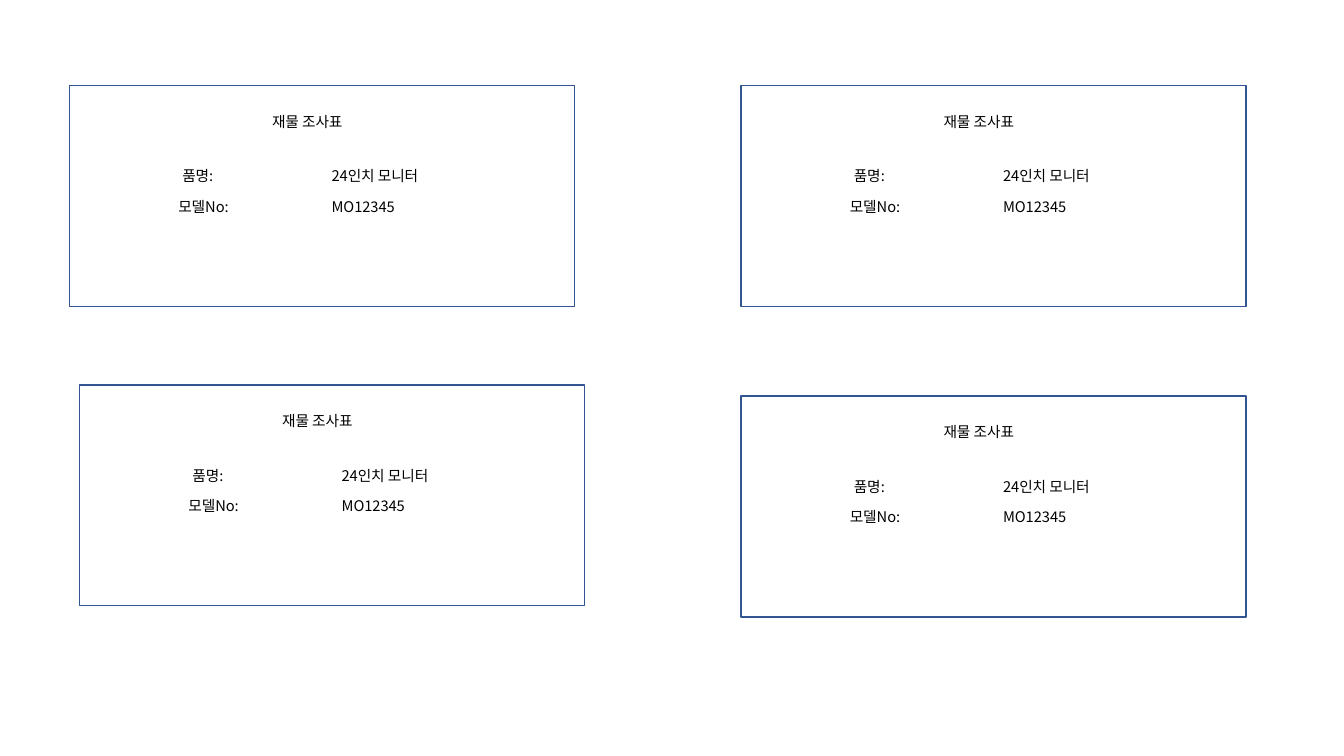
from pptx import Presentation
from pptx.dml.color import RGBColor
from pptx.enum.shapes import MSO_SHAPE as SHAPE
from pptx.enum.text import MSO_AUTO_SIZE as AUTO_SIZE
from pptx.oxml.ns import qn
from pptx.util import Inches, Pt
from lxml import etree

FONT = "Noto Sans CJK KR"
CARD_W, CARD_H = 5.01, 2.19
FIELD_W, FIELD_H = 0.89, 0.28
# left, top, title width, product name width
CARDS = [
    (0.69, 0.85, 1.13, 1.4),
    (7.35, 0.85, 1.19, 1.21),
    (0.79, 3.82, 1.17, 1.16),
    (7.35, 3.93, 1.28, 1.21),
]


def rgb(value):
    return RGBColor.from_string(value)


def add_text(slide, text, left, top, width, size=10.5, color="000000", font=FONT):
    box = slide.shapes.add_textbox(
        Inches(left), Inches(top), Inches(width), Inches(FIELD_H))
    tf = box.text_frame
    tf.word_wrap = True
    tf.auto_size = AUTO_SIZE.SHAPE_TO_FIT_TEXT
    r = tf.paragraphs[0].add_run()
    r.text = text
    r.font.size = Pt(size)
    r.font.name = font
    r.font.color.rgb = rgb(color)
    # Hangul takes its font from the East Asian slot
    etree.SubElement(r.font._element, qn("a:ea")).set("typeface", font)


def add_frame(slide, left, top, line="325491"):
    sp = slide.shapes.add_shape(
        SHAPE.RECTANGLE, Inches(left), Inches(top), Inches(CARD_W), Inches(CARD_H))
    sp.shadow.inherit = False
    sp.fill.background()
    sp.line.color.rgb = rgb(line)
    sp.line.width = Pt(1)


def add_card(slide, left, top, title_w, name_w):
    add_frame(slide, left, top)
    fields = [
        ("재물 조사표", 1.91, 0.22, title_w),
        ("품명:", 1.02, 0.76, FIELD_W),
        ("모델No:", 0.98, 1.06, FIELD_W),
        ("24인치 모니터", 2.5, 0.76, name_w),
        ("MO12345", 2.5, 1.06, FIELD_W),
    ]
    for text, dx, dy, width in fields:
        add_text(slide, text, left + dx, top + dy, width)


def main():
    prs = Presentation()
    prs.slide_width, prs.slide_height = Inches(13.33), Inches(7.5)
    slide = prs.slides.add_slide(prs.slide_layouts[6])
    for card in CARDS:
        add_card(slide, *card)
    prs.save("out.pptx")


if __name__ == "__main__":
    main()
